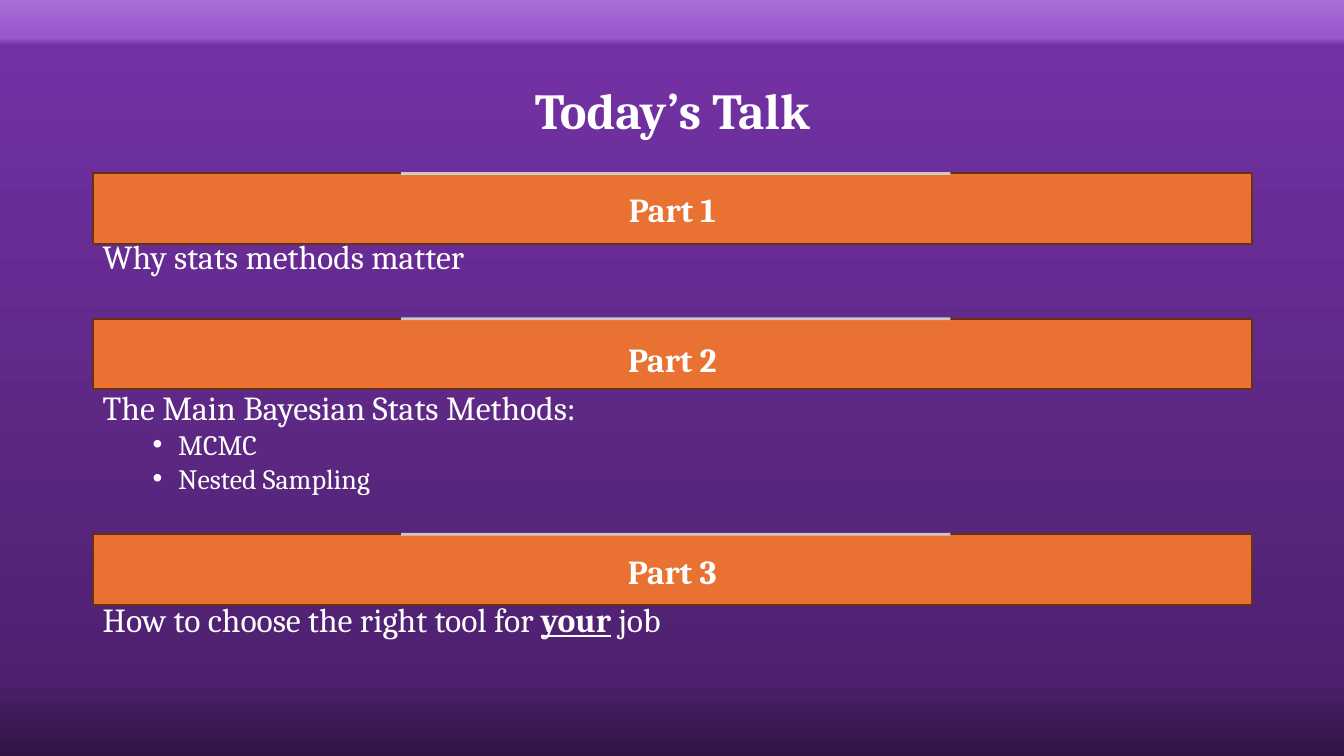
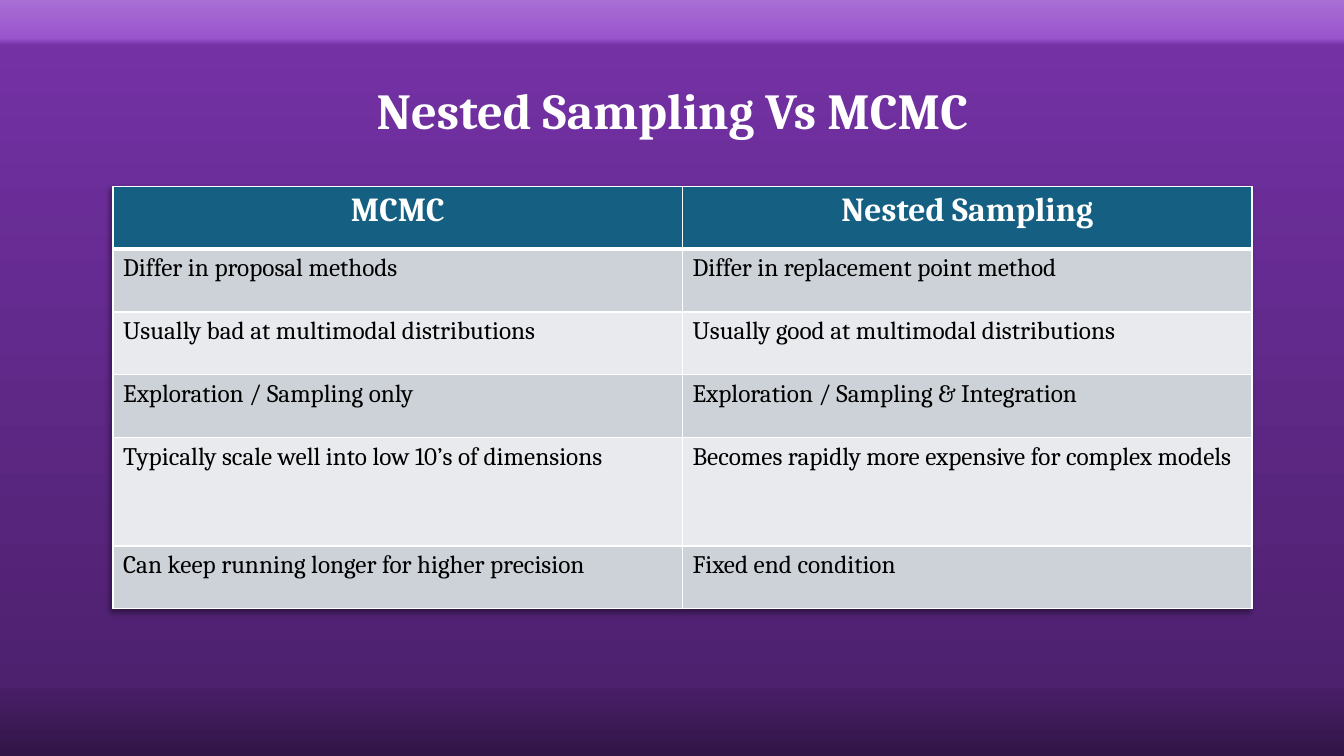
"""Builds two slides on Bayesian methods: the talk outline and a comparison table."""
from lxml import etree
from pptx import Presentation
from pptx.dml.color import RGBColor
from pptx.enum.shapes import MSO_CONNECTOR, MSO_SHAPE
from pptx.enum.text import MSO_ANCHOR, PP_ALIGN
from pptx.oxml.ns import qn
from pptx.util import Cm, Pt

CENTER, LEFT = PP_ALIGN.CENTER, PP_ALIGN.LEFT
MIDDLE = MSO_ANCHOR.MIDDLE
RECTANGLE, STRAIGHT = MSO_SHAPE.RECTANGLE, MSO_CONNECTOR.STRAIGHT
TITLE_ONLY = 5

FONT = "Cambria"
WHITE, BLACK = "FFFFFF", "000000"
ORANGE, BROWN, SILVER = "E97132", "663216", "D9D9D9"
TEAL, BANDS = "156082", ("CCD2D8", "E8EAED")
BACKDROP = [(0, "A86ED4"), (5, "9A56CD"), (6, "7331A4"),
            (91, "4E216F"), (91, "481F67"), (100, "321547")]

MARGIN, CONTENT_WIDTH = 2.34, 29.21
BAR_HEIGHT = 1.78
RULE_LEFT, RULE_RIGHT = 10.11, 23.95

OUTLINE_TITLE = "Today’s Talk"
PARTS = [
    {"label": "Part 1", "top": 4.37, "drop": 0,
     "lead": [("Why stats methods matter", False)], "bullets": []},
    {"label": "Part 2", "top": 8.03, "drop": 0.13,
     "lead": [("The Main Bayesian Stats Methods:", False)],
     "bullets": ["MCMC", "Nested Sampling"]},
    {"label": "Part 3", "top": 13.46, "drop": 0.05,
     "lead": [("How to choose the right tool for ", False), ("your", True), (" job", False)],
     "bullets": []},
]

COMPARISON_TITLE = "Nested Sampling Vs MCMC"
COMPARISON = [
    ("MCMC", "Nested Sampling"),
    ("Differ in proposal methods", "Differ in replacement point method"),
    ("Usually bad at multimodal distributions", "Usually good at multimodal distributions"),
    ("Exploration / Sampling only", "Exploration / Sampling & Integration"),
    ("Typically scale well into low 10’s of dimensions",
     "Becomes rapidly more expensive for complex models"),
    ("Can keep running longer for higher precision", "Fixed end condition"),
]
TABLE_LEFT, TABLE_TOP, COLUMN_WIDTH = 2.85, 4.7, 14.35
ROW_HEIGHTS = [1.58, 1.58, 1.58, 1.58, 2.74, 1.58]


def rgb(value):
    return RGBColor.from_string(value)


def add_span(para, text, size, color=WHITE, bold=False, underline=False):
    span = para.add_run()
    span.text = text
    font = span.font
    font.name, font.size, font.bold = FONT, Pt(size), bold
    font.underline = underline
    font.color.rgb = rgb(color)


def add_color(parent, color, opacity=100):
    node = etree.SubElement(parent, qn("a:srgbClr"), val=color)
    if opacity < 100:
        etree.SubElement(node, qn("a:alpha"), val=str(opacity * 1000))


def paint_backdrop(master):
    fill = master.background.fill
    fill.gradient()
    fill.gradient_angle = 270
    stops = master.element.find(".//" + qn("a:gsLst"))
    for stop in list(stops):
        stops.remove(stop)
    for position, color in BACKDROP:
        add_color(etree.SubElement(stops, qn("a:gs"), pos=str(position * 1000)), color)


def add_page(deck, title):
    page = deck.slides.add_slide(deck.slide_layouts[TITLE_ONLY])
    box = page.shapes.title
    box.left, box.top, box.width, box.height = Cm(MARGIN), Cm(1.02), Cm(CONTENT_WIDTH), Cm(3.68)
    box.text_frame.vertical_anchor = MIDDLE
    para = box.text_frame.paragraphs[0]
    para.alignment, para.line_spacing = CENTER, 0.9
    add_span(para, title, 36, bold=True)
    return page


def add_bar(page, part):
    bar = page.shapes.add_shape(RECTANGLE, Cm(MARGIN), Cm(part["top"]),
                                Cm(CONTENT_WIDTH), Cm(BAR_HEIGHT))
    bar.shadow.inherit = False
    bar.fill.solid()
    bar.fill.fore_color.rgb = rgb(ORANGE)
    bar.line.color.rgb = rgb(BROWN)
    bar.line.width = Pt(1.5)
    frame = bar.text_frame
    frame.vertical_anchor = MIDDLE
    frame.margin_top, frame.margin_bottom = Cm(2 * part["drop"]), 0
    para = frame.paragraphs[0]
    para.alignment = CENTER
    add_span(para, part["label"], 24, bold=True)


def add_rule(page, top):
    rule = page.shapes.add_connector(STRAIGHT, Cm(RULE_LEFT), Cm(top), Cm(RULE_RIGHT), Cm(top))
    rule.line.width = Pt(2)
    rule.line.color.rgb = rgb(SILVER)
    color = rule.element.find(".//" + qn("a:srgbClr"))
    etree.SubElement(color, qn("a:alpha"), val="90000")
    etree.SubElement(rule.element.spPr, qn("a:effectLst"))


def add_details(page, part):
    top = part["top"] + BAR_HEIGHT + part["drop"]
    height = 1.1 + 0.95 * len(part["bullets"])
    box = page.shapes.add_textbox(Cm(MARGIN), Cm(top), Cm(CONTENT_WIDTH), Cm(height))
    frame = box.text_frame
    frame.word_wrap = True
    frame.margin_top = frame.margin_bottom = 0
    para = frame.paragraphs[0]
    para.line_spacing = 0.8
    for text, stressed in part["lead"]:
        add_span(para, text, 24, bold=stressed, underline=stressed)
    for text in part["bullets"]:
        para = frame.add_paragraph()
        para.line_spacing, para.space_before = 0.8, Pt(5)
        properties = para._p.get_or_add_pPr()
        properties.set("marL", str(Cm(1.9)))
        properties.set("indent", str(Cm(-0.64)))
        etree.SubElement(properties, qn("a:buFont"), typeface="Arial")
        etree.SubElement(properties, qn("a:buChar"), char="•")
        add_span(para, text, 20)


def set_borders(cell, top, bottom):
    properties = cell._tc.get_or_add_tcPr()
    for side, points in (("L", 1), ("R", 1), ("T", top), ("B", bottom)):
        line = etree.SubElement(properties, qn("a:ln" + side), w=str(Pt(points)))
        add_color(etree.SubElement(line, qn("a:solidFill")), WHITE)


def add_table_shadow(table):
    effects = etree.Element(qn("a:effectLst"))
    shadow = etree.SubElement(effects, qn("a:outerShdw"), blurRad=str(Pt(4)),
                              dist=str(Pt(3)), dir="8100000")
    add_color(shadow, BLACK, 40)
    table._tbl.tblPr.insert(0, effects)


def add_comparison(page):
    columns = len(COMPARISON[0])
    table = page.shapes.add_table(len(COMPARISON), columns, Cm(TABLE_LEFT), Cm(TABLE_TOP),
                                  Cm(columns * COLUMN_WIDTH), Cm(sum(ROW_HEIGHTS))).table
    add_table_shadow(table)
    for column in table.columns:
        column.width = Cm(COLUMN_WIDTH)
    for index, texts in enumerate(COMPARISON):
        header = index == 0
        table.rows[index].height = Cm(ROW_HEIGHTS[index])
        for cell, text in zip(table.rows[index].cells, texts):
            set_borders(cell, 3 if index == 1 else 1, 3 if header else 1)
            cell.fill.solid()
            cell.fill.fore_color.rgb = rgb(TEAL if header else BANDS[(index - 1) % 2])
            para = cell.text_frame.paragraphs[0]
            para.alignment = CENTER if header else LEFT
            add_span(para, text, 24 if header else 18, WHITE if header else BLACK, header)


def main():
    deck = Presentation()
    deck.slide_width, deck.slide_height = Cm(33.87), Cm(19.05)
    paint_backdrop(deck.slide_master)
    outline = add_page(deck, OUTLINE_TITLE)
    for part in PARTS:
        add_bar(outline, part)
        add_rule(outline, part["top"])
        add_details(outline, part)
    add_comparison(add_page(deck, COMPARISON_TITLE))
    deck.save("out.pptx")


if __name__ == "__main__":
    main()
